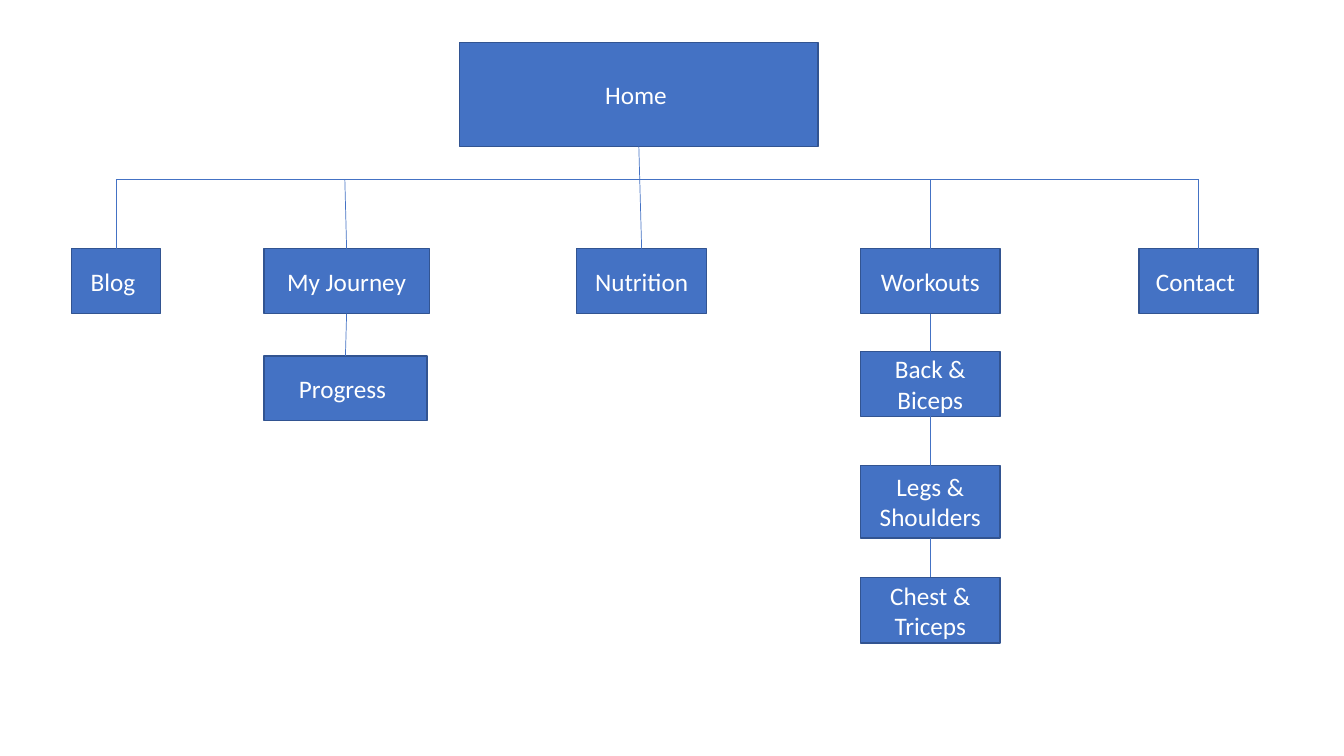
import pptx
import pptx.dml.color
import pptx.enum.shapes
import pptx.enum.text
import pptx.oxml.ns
import pptx.util
from lxml import etree

Cm = pptx.util.Cm
Pt = pptx.util.Pt
RGBColor = pptx.dml.color.RGBColor

BLUE = RGBColor(0x44, 0x72, 0xC4)
DARK_BLUE = RGBColor(0x32, 0x54, 0x91)
WHITE = RGBColor(0xFF, 0xFF, 0xFF)

FONT_FORMAT = {"name": "Calibri", "size": Pt(18)}
FRAME_FORMAT = {
    "word_wrap": True,
    "vertical_anchor": pptx.enum.text.MSO_ANCHOR.MIDDLE,
}
BOTTOM, TOP = 2, 0
MENU_TOP = 6.27
BOX_HEIGHT = 1.63
BUS_Y = 4.52
MENU = [
    ("Blog ", 1.8, 2.24),
    ("My Journey", 6.65, 4.17),
    ("Nutrition", 14.53, 3.28),
    ("Workouts", 21.69, 3.51),
    ("Contact ", 28.7, 3.0),
]
SUBPAGES = {
    "My Journey": [("Progress ", 8.97, 4.11, BOX_HEIGHT)],
    "Workouts": [
        ("Back & Biceps", 8.86, 3.51, BOX_HEIGHT),
        ("Legs & Shoulders", 11.73, 3.51, 1.83),
        ("Chest & Triceps", 14.55, 3.51, 1.65),
    ],
}


def apply_format(target, values):
    for name, value in values.items():
        setattr(target, name, value)


def add_box(slide, text, left, top, width, height=BOX_HEIGHT):
    shape = slide.shapes.add_shape(
        pptx.enum.shapes.MSO_SHAPE.RECTANGLE, Cm(left), Cm(top), Cm(width), Cm(height)
    )
    shape.shadow.inherit = False
    shape.fill.solid()
    shape.fill.fore_color.rgb = BLUE
    shape.line.color.rgb = DARK_BLUE
    shape.line.width = Pt(1)
    apply_format(shape.text_frame, FRAME_FORMAT)
    paragraph = shape.text_frame.paragraphs[0]
    paragraph.alignment = pptx.enum.text.PP_ALIGN.CENTER
    run = paragraph.add_run()
    run.text = text
    apply_format(run.font, FONT_FORMAT)
    run.font.color.rgb = WHITE
    return shape


def add_line(slide, start=(0, 0), end=(0, 0), parent=None, child=None):
    connector = slide.shapes.add_connector(
        pptx.enum.shapes.MSO_CONNECTOR.STRAIGHT, *start, *end
    )
    if parent is not None:
        connector.begin_connect(parent, BOTTOM)
    if child is not None:
        connector.end_connect(child, TOP)
    connector.line.color.rgb = BLUE
    connector.line.width = Pt(0.5)
    etree.SubElement(connector._element.spPr, pptx.oxml.ns.qn("a:effectLst"))
    return connector


def center_x(shape):
    return shape.left + shape.width // 2


def add_menu(slide, home):
    boxes = {
        text: add_box(slide, text, left, MENU_TOP, width) for text, left, width in MENU
    }
    bus_y = Cm(BUS_Y)
    add_line(
        slide,
        (center_x(boxes["Blog "]), bus_y),
        (center_x(boxes["Contact "]), bus_y),
    )
    for text, box in boxes.items():
        if text == "Nutrition":
            add_line(slide, parent=home, child=box)
        else:
            x = Cm(8.69) if text == "My Journey" else center_x(box)
            add_line(slide, (x, bus_y), (x, box.top), child=box)
    return boxes


def add_subpages(slide, parent, pages):
    left = parent.left.cm
    for text, top, width, height in pages:
        child = add_box(slide, text, left, top, width, height)
        add_line(slide, parent=parent, child=child)
        parent = child


def main():
    presentation = pptx.Presentation()
    presentation.slide_width = Cm(33.87)
    presentation.slide_height = Cm(19.05)
    slide = presentation.slides.add_slide(presentation.slide_layouts[6])
    home = add_box(slide, "Home ", 11.58, 1.07, 9.04, 2.62)
    boxes = add_menu(slide, home)
    for text, pages in SUBPAGES.items():
        add_subpages(slide, boxes[text], pages)
    presentation.save("out.pptx")


if __name__ == "__main__":
    main()
